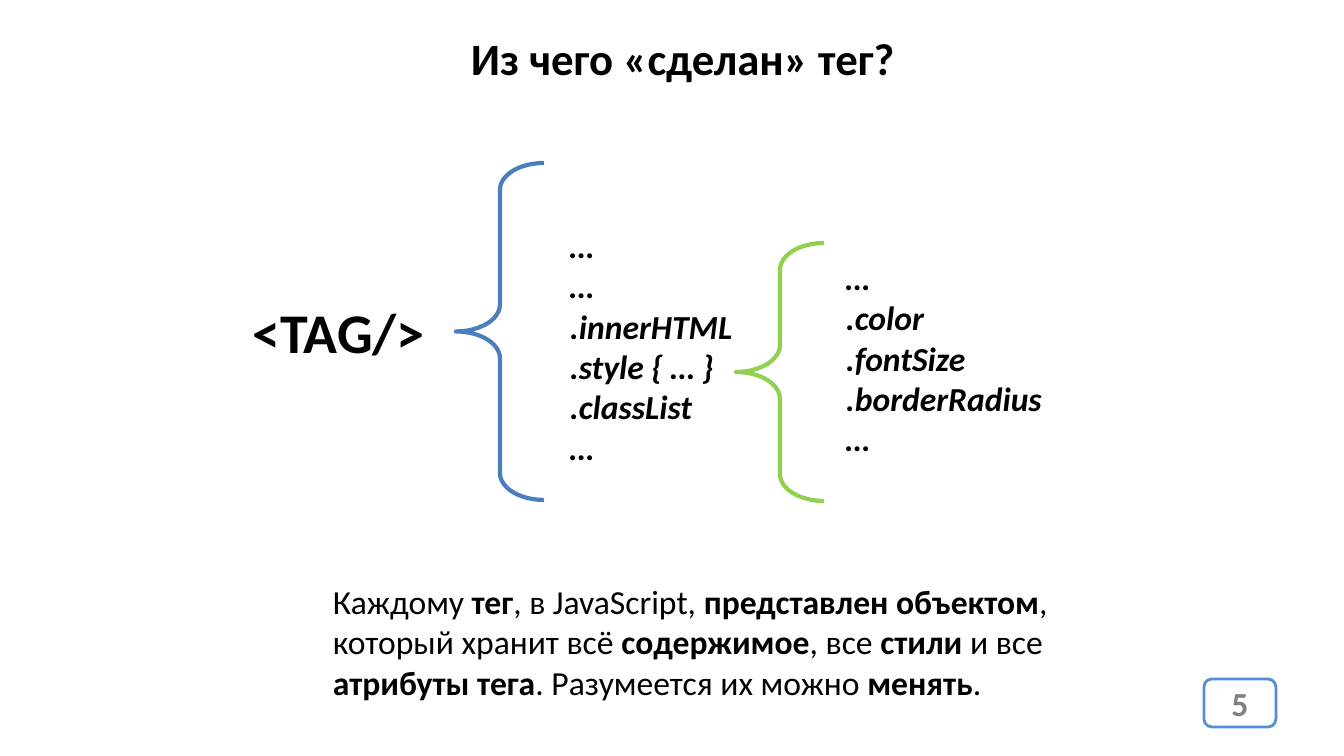
import pptx
import pptx.dml.color
import pptx.enum.shapes
import pptx.enum.text
import pptx.util

PX = 914400 / 100.8  # EMU per pixel
FONT = "Calibri"
BLACK = pptx.dml.color.RGBColor(0x00, 0x00, 0x00)
WHITE = pptx.dml.color.RGBColor(0xFF, 0xFF, 0xFF)
GRAY = pptx.dml.color.RGBColor(0x80, 0x80, 0x80)
BLUE = pptx.dml.color.RGBColor(0x4B, 0x7E, 0xBC)
LIGHT_BLUE = pptx.dml.color.RGBColor(0x55, 0x8E, 0xD5)
GREEN = pptx.dml.color.RGBColor(0x92, 0xD0, 0x50)

SHAPES = pptx.enum.shapes.MSO_SHAPE
ALIGN = pptx.enum.text.PP_ALIGN
ANCHOR = pptx.enum.text.MSO_ANCHOR
AUTO_SIZE = pptx.enum.text.MSO_AUTO_SIZE


def emu(*pixels):
    return [pptx.util.Emu(round(v * PX)) for v in pixels]


def write(tf, text, size=24, color=BLACK, bold=False, italic=False,
          align=ALIGN.LEFT):
    """Write one paragraph per line; ** switches bold on and off."""
    for i, line in enumerate(text.split("\n")):
        p = tf.paragraphs[0] if i == 0 else tf.add_paragraph()
        p.alignment = align
        for j, part in enumerate(line.split("**")):
            if not part:
                continue
            r = p.add_run()
            r.text = part
            r.font.name = FONT
            r.font.size = pptx.util.Pt(size)
            r.font.color.rgb = color
            r.font.bold = bold or j % 2 == 1
            r.font.italic = italic


def add_text(slide, box, text, wrap=False, **fmt):
    tf = slide.shapes.add_textbox(*emu(*box)).text_frame
    tf.word_wrap = wrap
    tf.auto_size = AUTO_SIZE.SHAPE_TO_FIT_TEXT
    write(tf, text, **fmt)


def add_outline(slide, kind, box, color, width):
    sp = slide.shapes.add_shape(kind, *emu(*box))
    sp.shadow.inherit = False
    sp.line.color.rgb = color
    sp.line.width = pptx.util.Pt(width)
    return sp


def add_brace(slide, box, color):
    sp = add_outline(slide, SHAPES.LEFT_BRACE, box, color, 3)
    sp.fill.background()
    sp.adjustments[0] = 0.305
    sp.adjustments[1] = 0.5


def add_page_number(slide, box, number):
    sp = add_outline(slide, SHAPES.ROUNDED_RECTANGLE, box, LIGHT_BLUE, 2)
    sp.fill.solid()
    sp.fill.fore_color.rgb = WHITE
    sp.text_frame.vertical_anchor = ANCHOR.MIDDLE
    write(sp.text_frame, number, color=GRAY, bold=True, align=ALIGN.CENTER)


def main():
    prs = pptx.Presentation()
    prs.slide_width, prs.slide_height = emu(1344, 756)
    slide = prs.slides.add_slide(prs.slide_layouts[6])

    # Page number and title
    add_page_number(slide, (1204, 679, 72, 48), "5")
    add_text(slide, (461, 26, 449, 65), "Из чего «сделан» тег?",
             size=32, bold=True)

    # Tag and its properties
    add_text(slide, (243, 293, 195, 78), "<TAG/>", size=40, bold=True)
    add_brace(slide, (456, 163, 88, 337), BLUE)
    add_text(slide, (560, 220, 184, 254),
             "…\n…\n.innerHTML\n.style { … }\n.classList\n…",
             bold=True, italic=True)

    # Style properties
    add_brace(slide, (736, 243, 88, 258), GREEN)
    add_text(slide, (836, 252, 218, 214),
             "…\n.color\n.fontSize\n.borderRadius\n…",
             bold=True, italic=True)

    # Explanation
    add_text(slide, (323, 576, 778, 132),
             "Каждому **тег**, в JavaScript, **представлен объектом**, "
             "который хранит всё **содержимое**, все **стили** и все "
             "**атрибуты тега**. Разумеется их можно **менять**.",
             wrap=True)

    prs.save("out.pptx")


main()
